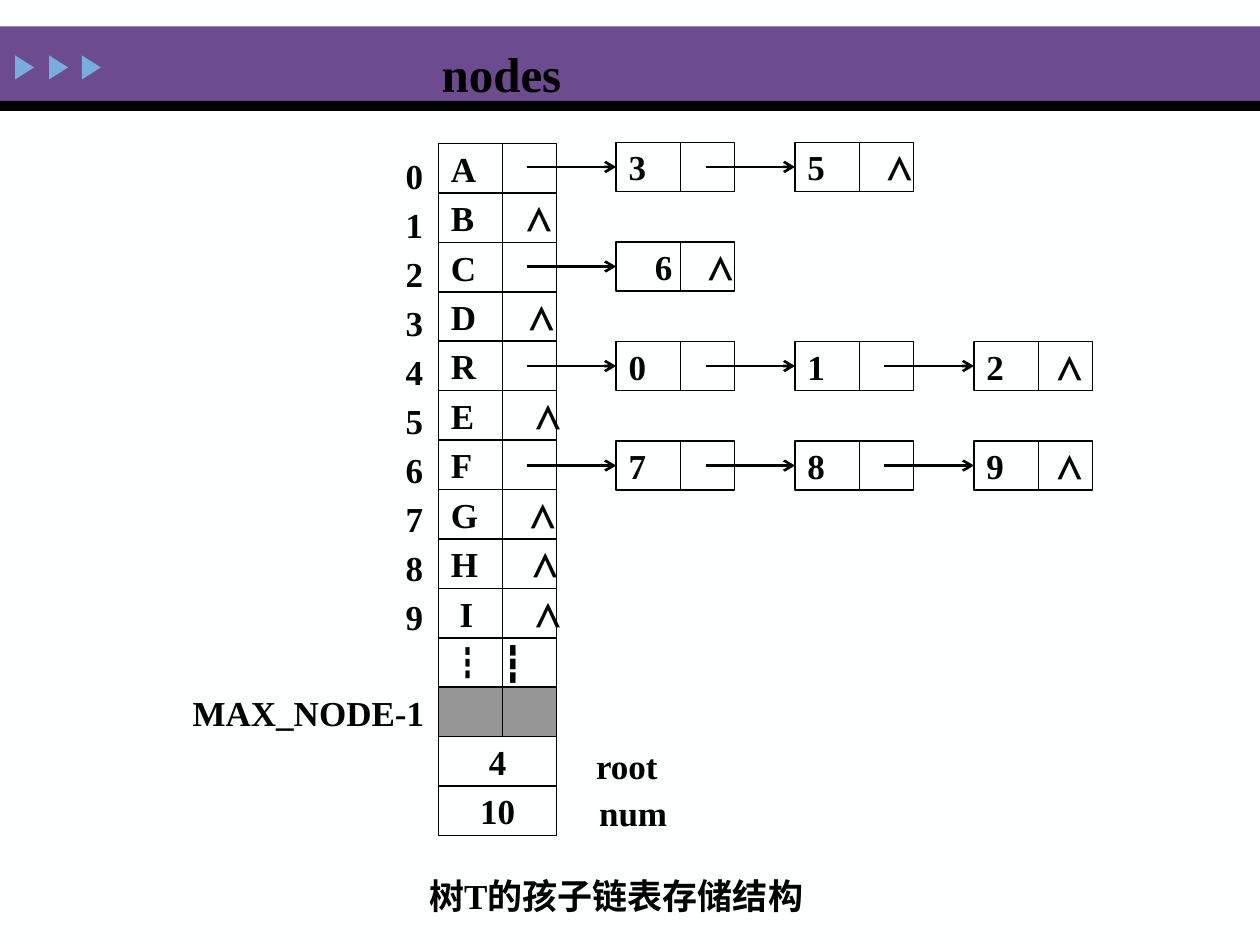
"""Build a slide showing the child-list storage structure of a tree."""
from lxml import etree
from pptx import Presentation
from pptx.dml.color import RGBColor
from pptx.enum.shapes import MSO_CONNECTOR as Connector, MSO_SHAPE as Shape
from pptx.enum.text import MSO_ANCHOR as Anchor, PP_ALIGN as Align
from pptx.oxml.ns import qn
from pptx.util import Inches, Pt

LATIN, CJK = "Times New Roman", "Noto Sans CJK SC"
CELL_W, CELL_H, DIVIDER = 0.94, 0.39, 0.51
COLUMN_LEFT, COLUMN_TOP, ROW_PITCH = 3.48, 1.14, 5.1 / 13
CHAIN_LEFT, CHAIN_TOP, CHAIN_STEP, CHAIN_PITCH = 4.89, 1.13, 1.42, 0.79
ARROW = 0.71


def color(value):
    return RGBColor.from_string(value)


def write(shape, text, size=20, align=Align.LEFT, tabs=(), fonts=(LATIN,),
          asian=None, spacing=None, margins=(0.1, 0.1)):
    frame = shape.text_frame
    frame.word_wrap = False
    frame.vertical_anchor = Anchor.MIDDLE
    frame.margin_left, frame.margin_right = [Inches(margin) for margin in margins]
    for index, line in enumerate(text.split("\n")):
        paragraph = frame.paragraphs[0] if index == 0 else frame.add_paragraph()
        paragraph.alignment = align
        if spacing:
            paragraph.line_spacing = Pt(spacing)
        if tabs:
            stops = etree.SubElement(paragraph._p.get_or_add_pPr(), qn("a:tabLst"))
            for stop in tabs:
                etree.SubElement(stops, qn("a:tab"), pos=str(Inches(stop)), algn="l")
        for piece, font in zip(line.split("|"), fonts):
            run = paragraph.add_run()
            run.text = piece
            run.font.size = Pt(size)
            run.font.bold = True
            run.font.color.rgb = color("000000")
            run.font.name = font
            etree.SubElement(run._r.get_or_add_rPr(), qn("a:ea"), typeface=asian or font)


presentation = Presentation()
presentation.slide_width, presentation.slide_height = Inches(10), Inches(7.5)
slide = presentation.slides.add_slide(presentation.slide_layouts[6])
slide.background.fill.solid()
slide.background.fill.fore_color.rgb = color("FEFFFF")

decorations = [
    (Shape.RECTANGLE, 0, 0.21, 10, 0.59, "6C4C8F", 0),
    (Shape.RECTANGLE, 0, 0.8, 10, 0.08, "000000", 0),
]
decorations += [(Shape.ISOSCELES_TRIANGLE, left, 0.46, 0.19, 0.15, "76AEDD", 90)
                for left in (0.1, 0.37, 0.63)]
for kind, left, top, width, height, fill, rotation in decorations:
    shape = slide.shapes.add_shape(kind, Inches(left), Inches(top), Inches(width), Inches(height))
    shape.shadow.inherit = False
    shape.fill.solid()
    shape.fill.fore_color.rgb = color(fill)
    shape.line.fill.background()
    shape.rotation = rotation

labels = [
    ("nodes", 3.46, 0.36, 1.04, 0.44, dict(size=28, align=Align.CENTER, margins=(0, 0))),
    ("\n".join(str(index) for index in range(10)), 3.12, 1.14, 0.39, 3.95, dict(spacing=28)),
    ("MAX_NODE-1", 1.43, 5.46, 1.97, 0.39, dict(margins=(0.1, 0))),
    ("root", 4.58, 5.88, 0.79, 0.39, dict(align=Align.CENTER)),
    ("num", 4.63, 6.25, 0.79, 0.39, dict(align=Align.CENTER)),
    ("树T的孩子链表存储结构", 2.25, 6.91, 5.28, 0.39, dict(align=Align.CENTER, asian=CJK)),
]
for text, left, top, width, height, style in labels:
    label = slide.shapes.add_textbox(Inches(left), Inches(top), Inches(width), Inches(height))
    write(label, text, **style)

column = [
    ("A", {}),
    ("B\t⋀", dict(tabs=[0.6])),
    ("C", {}),
    ("D\t⋀", dict(tabs=[0.62])),
    ("R", {}),
    ("E\t⋀", dict(tabs=[0.67])),
    ("F", {}),
    ("G\t⋀", dict(tabs=[0.63])),
    ("H\t⋀", dict(tabs=[0.65])),
    ("\tI\t⋀", dict(tabs=[0.07, 0.67])),
    ("┇|\t┇", dict(tabs=[0.41], fonts=(CJK, LATIN))),
    ("", {}),
    ("4", dict(align=Align.CENTER)),
    ("10", dict(align=Align.CENTER)),
]
chains = [
    [("3", {}), ("5\t⋀", dict(tabs=[0.63]))],
    [("\t6\t⋀", dict(tabs=[0.21, 0.63]))],
    [("0", {}), ("1", {}), ("2\t⋀", dict(tabs=[0.56]))],
    [("7", {}), ("8", {}), ("9\t⋀", dict(tabs=[0.56]))],
]
cells = [(COLUMN_LEFT, COLUMN_TOP + row * ROW_PITCH, text, style, False)
         for row, (text, style) in enumerate(column)]
cells += [(CHAIN_LEFT + step * CHAIN_STEP, CHAIN_TOP + row * CHAIN_PITCH, text, style, True)
          for row, chain in enumerate(chains) for step, (text, style) in enumerate(chain)]

for left, top, text, style, linked in cells:
    cell = slide.shapes.add_shape(Shape.RECTANGLE, Inches(left), Inches(top),
                                  Inches(CELL_W), Inches(CELL_H))
    cell.shadow.inherit = False
    cell.line.color.rgb = color("000000")
    cell.line.width = Pt(0.75)
    if text:
        cell.fill.background()
        write(cell, text, **style)
    else:
        cell.fill.solid()
        cell.fill.fore_color.rgb = color("969696")

    lines = []
    if style.get("align") != Align.CENTER:
        lines.append((left + DIVIDER, top, left + DIVIDER, top + CELL_H, 0.75))
    if linked:
        middle = top + CELL_H / 2
        lines.append((left - ARROW, middle, left, middle, 1.5))
    for x1, y1, x2, y2, weight in lines:
        line = slide.shapes.add_connector(Connector.STRAIGHT, Inches(x1), Inches(y1),
                                          Inches(x2), Inches(y2))
        line.line.color.rgb = color("000000")
        line.line.width = Pt(weight)
        if y1 == y2:
            line.end_connect(cell, 1)
            etree.SubElement(line.line._get_or_add_ln(), qn("a:tailEnd"), type="arrow")
        etree.SubElement(line._element.spPr, qn("a:effectLst"))

presentation.save("out.pptx")
